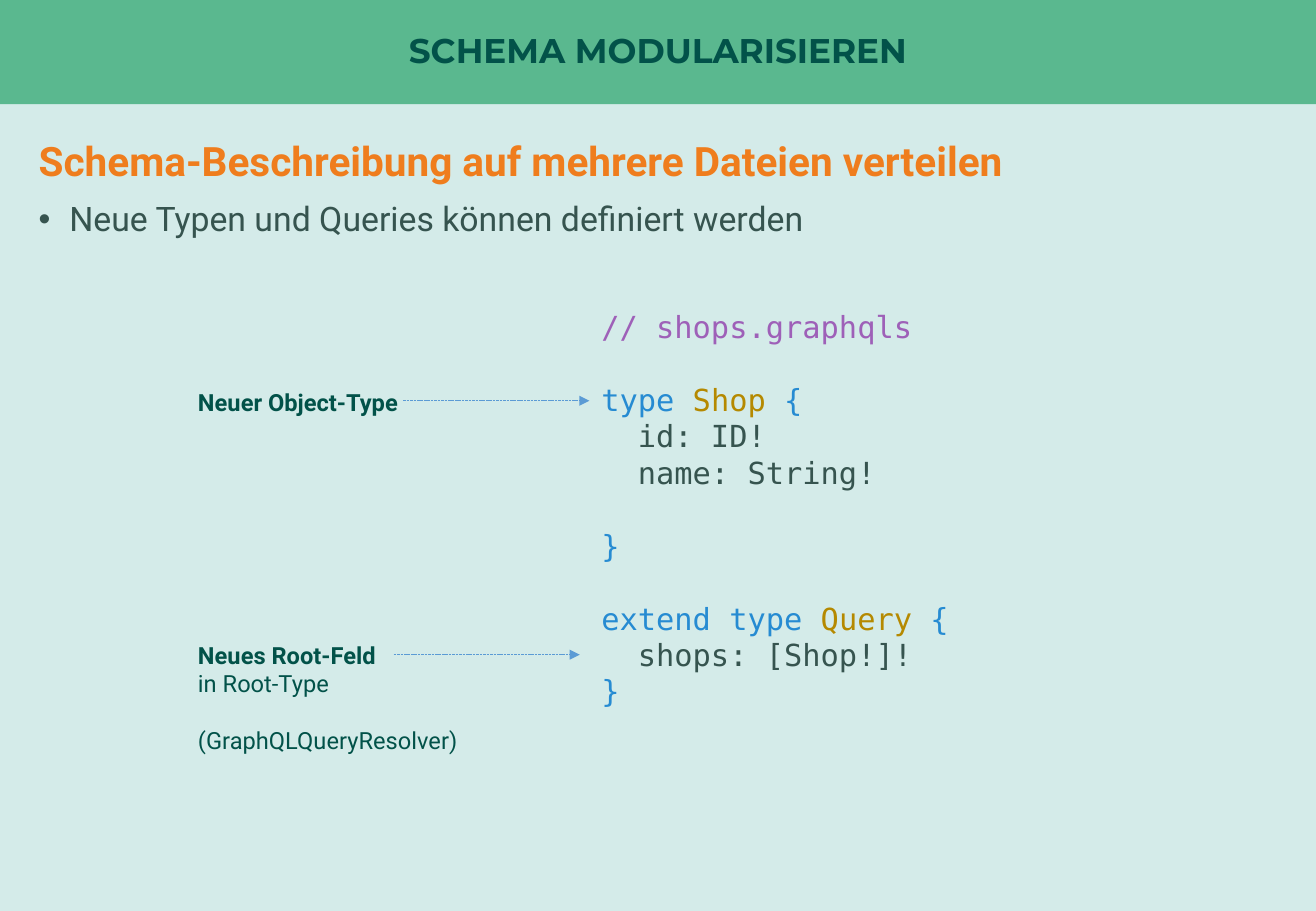
from dataclasses import dataclass

from lxml import etree
from pptx import Presentation
from pptx import util as u
from pptx.dml.color import RGBColor
from pptx.enum import dml, shapes, text
from pptx.oxml.ns import qn


@dataclass(frozen=True)
class Theme:
    background: str = "D4EBE9"
    band: str = "5AB88F"
    dark: str = "025249"
    heading: str = "EF7D1D"
    body: str = "36544F"
    arrow: str = "5B9BD5"
    comment: str = "9E60B8"
    keyword: str = "268BD2"
    type_name: str = "B58900"
    title_font: str = "Montserrat"
    text_font: str = "Roboto"
    code_font: str = "DejaVu Sans Mono"
    title_size: float = 20.3
    heading_size: float = 24
    bullet_size: float = 20
    code_size: float = 18
    code_pitch: float = 21.6
    label_size: float = 14
    label_pitch: float = 16.8


THEME = Theme()
SLIDE_WIDTH, SLIDE_HEIGHT = u.Cm(27.51), u.Cm(19.05)
BAND_HEIGHT = u.Cm(2.18)
LABEL_LEFT = 3.89
ARROW_LENGTH = 3.89

# Each code line: blank line before it, then its coloured pieces
CODE = [
    (False, [("// shops.graphqls", THEME.comment)]),
    (True, [("type ", THEME.keyword), ("Shop ", THEME.type_name), ("{", THEME.keyword)]),
    (False, [("  id: ID!", THEME.body)]),
    (False, [("  name: String!", THEME.body)]),
    (True, [("}", THEME.keyword)]),
    (True, [("extend type ", THEME.keyword), ("Query ", THEME.type_name), ("{", THEME.keyword)]),
    (False, [("  shops: [Shop!]!", THEME.body)]),
    (False, [("}", THEME.keyword)]),
]


def style(run, font, size, color, bold=False):
    run.font.name = font
    run.font.size = u.Pt(size)
    run.font.bold = bold
    run.font.color.rgb = RGBColor.from_string(color)


def add_text_frame(slide, left, top, width, height):
    box = slide.shapes.add_textbox(u.Cm(left), u.Cm(top), u.Cm(width), u.Cm(height))
    box.text_frame.word_wrap = True
    return box.text_frame


def paragraphs(frame, count):
    """Return the frame's first paragraph followed by new ones."""
    return [frame.paragraphs[0]] + [frame.add_paragraph() for _ in range(count - 1)]


def set_title(slide, wording):
    title = slide.shapes.title
    title.left, title.top, title.width, title.height = 0, 0, SLIDE_WIDTH, BAND_HEIGHT
    title.fill.solid()
    title.fill.fore_color.rgb = RGBColor.from_string(THEME.band)
    frame = title.text_frame
    frame.text = wording
    frame.auto_size = text.MSO_AUTO_SIZE.NONE
    frame.vertical_anchor = text.MSO_ANCHOR.MIDDLE
    frame.margin_left = frame.margin_right = frame.margin_top = frame.margin_bottom = 0
    line = frame.paragraphs[0]
    line.alignment = text.PP_ALIGN.CENTER
    line.line_spacing = 0.9
    style(line.runs[0], THEME.title_font, THEME.title_size, THEME.dark, True)


def add_introduction(slide, heading_text, bullet_text):
    frame = add_text_frame(slide, 0.56, 2.84, 26.39, 2.72)
    heading, bullet = paragraphs(frame, 2)
    heading.text, bullet.text = heading_text, bullet_text
    heading.line_spacing = bullet.line_spacing = 0.9
    bullet.space_before = u.Pt(10)

    properties = bullet._p.get_or_add_pPr()
    properties.set("marL", str(u.Cm(0.64)))
    properties.set("indent", str(-u.Cm(0.64)))
    etree.SubElement(properties, qn("a:buFont")).set("typeface", "Arial")
    etree.SubElement(properties, qn("a:buChar")).set("char", "•")

    style(heading.runs[0], THEME.text_font, THEME.heading_size, THEME.heading, True)
    style(bullet.runs[0], THEME.text_font, THEME.bullet_size, THEME.body)


def add_code(slide):
    frame = add_text_frame(slide, 12.32, 6.32, 13.77, 10.26)
    for line, (gap_before, pieces) in zip(paragraphs(frame, len(CODE)), CODE):
        line.line_spacing = u.Pt(THEME.code_pitch)
        if gap_before:
            line.space_before = u.Pt(THEME.code_pitch)
        for wording, color in pieces:
            run = line.add_run()
            run.text = wording
            style(run, THEME.code_font, THEME.code_size, color)


def add_label(slide, top, width, height, name, details=()):
    """Bold name, then detail lines as (wording, blank line before)."""
    frame = add_text_frame(slide, LABEL_LEFT, top, width, height)
    lines = [(name, False), *details]
    for index, (line, (wording, gap_before)) in enumerate(zip(paragraphs(frame, len(lines)), lines)):
        line.text = wording
        if gap_before:
            line.space_before = u.Pt(THEME.label_pitch)
        style(line.runs[0], THEME.text_font, THEME.label_size, THEME.dark, index == 0)


def add_arrow(slide, left, y):
    arrow = slide.shapes.add_connector(
        shapes.MSO_CONNECTOR.STRAIGHT, u.Cm(left), u.Cm(y), u.Cm(left + ARROW_LENGTH), u.Cm(y))
    arrow.line.color.rgb = RGBColor.from_string(THEME.arrow)
    arrow.line.width = u.Pt(0.5)
    arrow.line.dash_style = dml.MSO_LINE.SQUARE_DOT
    properties = arrow._element.spPr
    etree.SubElement(properties.find(qn("a:ln")), qn("a:tailEnd")).set("type", "triangle")
    etree.SubElement(properties, qn("a:effectLst"))


def main():
    deck = Presentation()
    deck.slide_width, deck.slide_height = SLIDE_WIDTH, SLIDE_HEIGHT
    slide = deck.slides.add_slide(deck.slide_layouts.get_by_name("Title Only"))
    slide.background.fill.solid()
    slide.background.fill.fore_color.rgb = RGBColor.from_string(THEME.background)

    # Title band and introduction
    set_title(slide, "SCHEMA MODULARISIEREN")
    add_introduction(slide, "Schema-Beschreibung auf mehrere Dateien verteilen",
                     "Neue Typen und Queries können definiert werden")

    # Schema listing
    add_code(slide)

    # Labels pointing at the listing
    add_label(slide, 7.98, 4.95, 0.86, "Neuer Object-Type")
    add_arrow(slide, 8.43, 8.38)
    add_label(slide, 13.28, 6.07, 2.64, "Neues Root-Feld",
              [("in Root-Type", False), ("(GraphQLQueryResolver)", True)])
    add_arrow(slide, 8.23, 13.69)

    deck.save("out.pptx")


if __name__ == "__main__":
    main()
